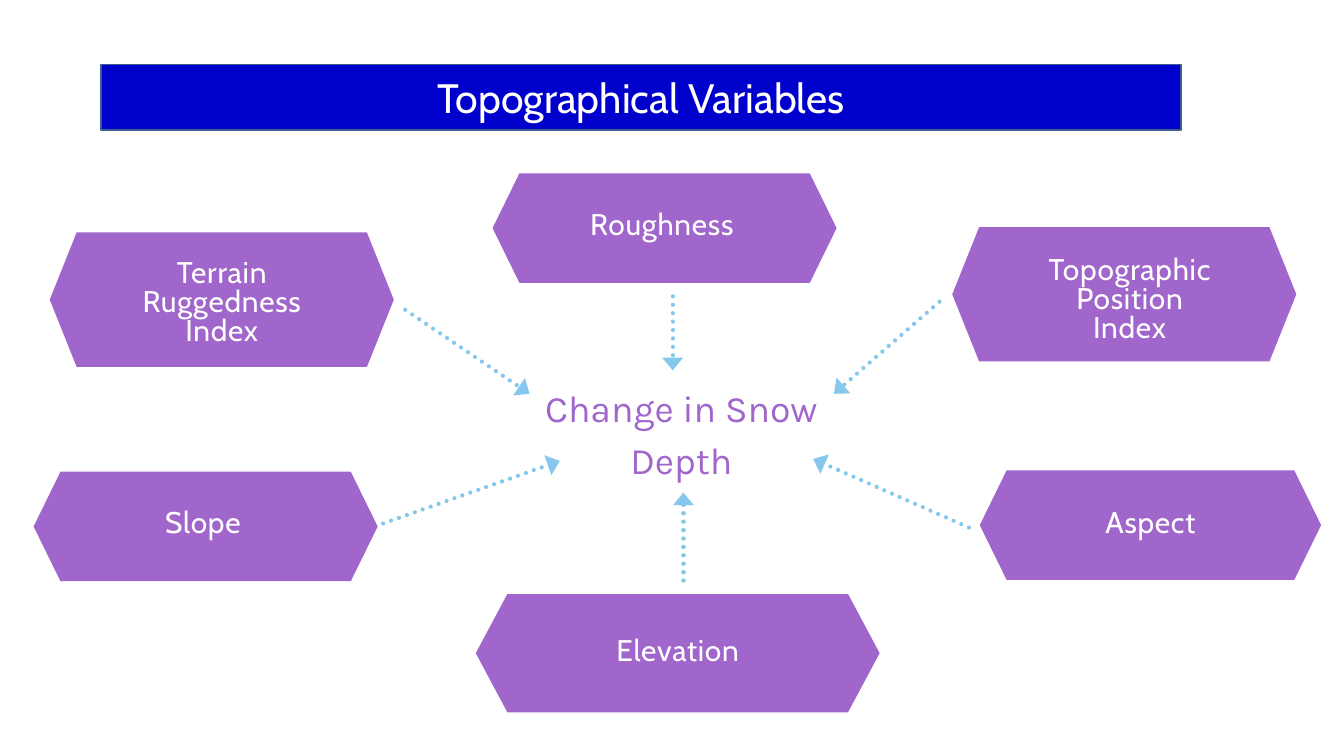
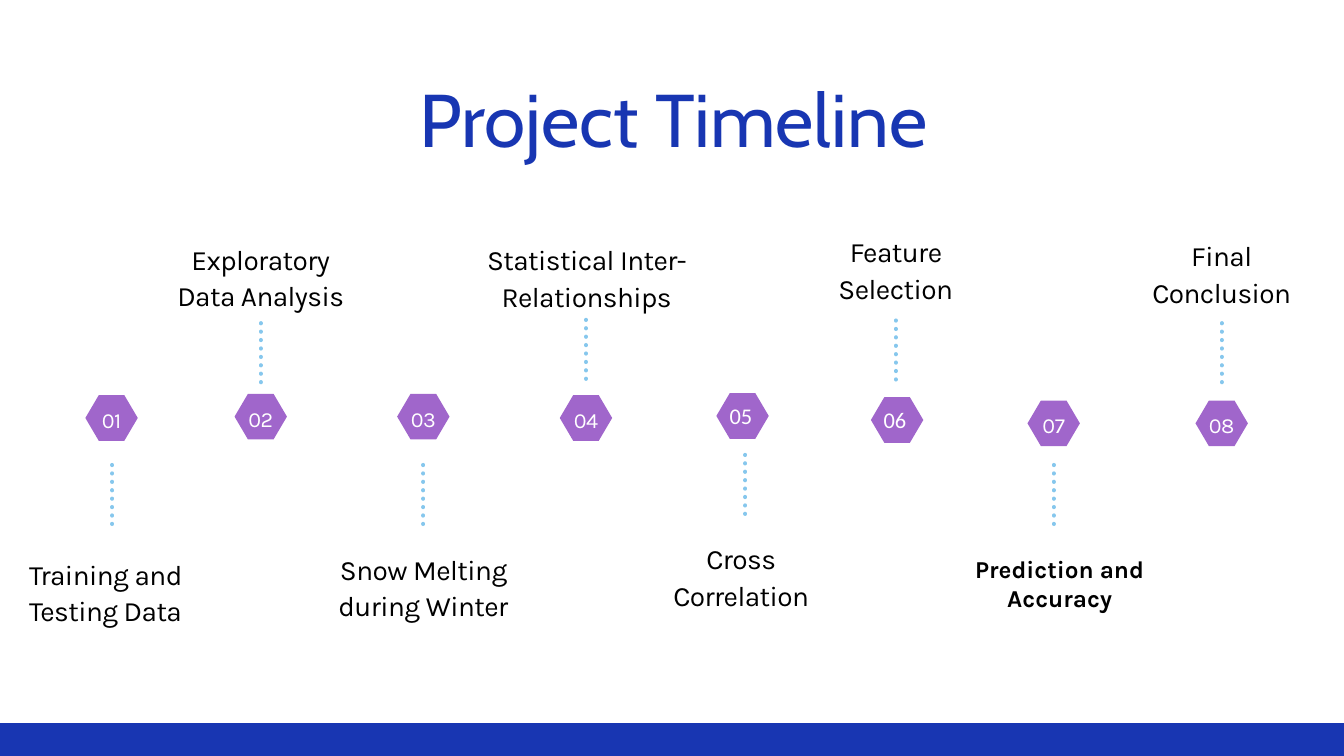
from lxml import etree
from pptx import Presentation
from pptx.dml.color import RGBColor
from pptx.enum import dml, shapes, text
from pptx.oxml.ns import qn
from pptx.util import Inches, Pt

WIDTH, HEIGHT = 20, 11.25
COLORS = {
    "purple": "A066CB", "sky": "86C7ED", "royal": "1836B2", "band": "0000CC",
    "band_edge": "3A5F8C", "white": "FFFFFF", "black": "000000",
}
HEADING, BODY, PLAIN = "Cabin", "Karla", "Calibri"

BAND_TITLE = "Topographical Variables"
OUTCOME = "Change in Snow Depth"
# name, hexagon box, corner inset, label centre offset, label width
VARIABLES = [
    ("Aspect", (14.58, 7, 5.08, 1.63), 0.4, (0, 0), 3.45),
    ("Elevation", (7.08, 8.84, 6.01, 1.76), 0.47, (0, 0), 4.11),
    ("Slope", (0.5, 7.02, 5.12, 1.63), 0.4, (-0.04, -0.03), 3.45),
    ("Roughness", (7.33, 2.58, 5.12, 1.63), 0.4, (-0.04, -0.02), 3.45),
    ("Terrain\nRuggedness\nIndex", (0.74, 3.46, 5.12, 2), 0.4, (0, 0.07), 3.45),
    ("Topographic\nPosition\nIndex", (14.17, 3.38, 5.12, 2), 0.4, (0.08, 0.1), 6.38),
]
INFLUENCES = [
    ((13.98, 4.49), (12.41, 5.86)),
    ((10.17, 8.64), (10.17, 7.33)),
    ((6.03, 4.61), (7.88, 5.86)),
    ((14.42, 7.85), (12.1, 6.83)),
    ((5.7, 7.79), (8.33, 6.86)),
    ((10.01, 4.41), (10.01, 5.51)),
]

TIMELINE_TITLE = "Project Timeline"
BADGE_W, BADGE_H, BADGE_INSET, STEM = 0.78, 0.68, 0.2, 1
# step, badge centre x, badge top, stem x, stem top, label centre x, label top
STEPS = [
    ("Training and Testing Data", 1.66, 5.88, 1.67, 6.92, 1.57, 8.25),
    ("Exploratory\nData Analysis", 3.88, 5.86, 3.88, 4.81, 3.88, 3.56),
    ("Snow Melting during Winter", 6.3, 5.86, 6.3, 6.92, 6.3, 8.18),
    ("Statistical Inter-Relationships", 8.72, 5.88, 8.72, 4.76, 8.73, 3.57),
    ("Cross\nCorrelation", 11.05, 5.85, 11.09, 6.77, 11.03, 8.02),
    ("Feature Selection", 13.35, 5.91, 13.33, 4.77, 13.33, 3.45),
    ("Prediction and\nAccuracy", 15.68, 5.96, 15.68, 6.92, 15.77, 8.2),
    ("Final\nConclusion", 18.18, 5.96, 18.18, 4.81, 18.18, 3.51),
]
LABEL_W, LABEL_H = 2.95, 1.09
WIDE_LABELS = {4: 3.64}
BOLD_STEP = 7
PLAIN_NUMBERS = {5: (10.76, 5.94, 0.74, 0.5), 6: (13.05, 5.99, 0.6, 0.5)}


def rgb(name):
    return RGBColor.from_string(COLORS[name])


def write(frame, words, font=BODY, size=30, color="black", bold=None,
          leading=None, tracking=None, align="CENTER"):
    frame.word_wrap = True
    frame.text = words
    for paragraph in frame.paragraphs:
        paragraph.alignment = getattr(text.PP_ALIGN, align)
        if leading:
            paragraph.line_spacing = Pt(leading)
        for run in paragraph.runs:
            run.font.name, run.font.size, run.font.bold = font, Pt(size), bold
            run.font.color.rgb = rgb(color)
            if tracking:
                run._r.get_or_add_rPr().set("spc", str(round(tracking * 100)))


def add_label(slide, box, words, inset=0, **style):
    frame = slide.shapes.add_textbox(*map(Inches, box)).text_frame
    if inset is not None:
        frame.margin_left = frame.margin_right = Inches(inset)
        frame.margin_top = frame.margin_bottom = Inches(inset)
    frame.auto_size = text.MSO_AUTO_SIZE.SHAPE_TO_FIT_TEXT
    write(frame, words, **style)


def add_block(slide, kind, box, fill, edge=None):
    block = slide.shapes.add_shape(kind, *map(Inches, box))
    block.shadow.inherit = False
    block.fill.solid()
    block.fill.fore_color.rgb = rgb(fill)
    if edge:
        block.line.color.rgb = rgb(edge)
        block.line.width = Pt(2)
    else:
        block.line.fill.background()
    return block


def add_hexagon(slide, box, inset):
    hexagon = add_block(slide, shapes.MSO_SHAPE.HEXAGON, box, "purple")
    hexagon.adjustments[0] = inset / min(box[2:])


def add_dots(slide, start, end, arrow=False):
    dots = slide.shapes.add_connector(
        shapes.MSO_CONNECTOR.STRAIGHT, *map(Inches, start + end))
    dots.line.color.rgb = rgb("sky")
    dots.line.width = Pt(4.5)
    dots.line.dash_style = dml.MSO_LINE.ROUND_DOT
    properties = dots._element.spPr
    stroke = properties.find(qn("a:ln"))
    stroke.set("cap", "rnd")
    if arrow:
        etree.SubElement(stroke, qn("a:tailEnd"), type="triangle", w="lg", len="med")
    etree.SubElement(properties, qn("a:effectLst"))


def build_variables(slide):
    for name, box, inset, (dx, dy), width in VARIABLES:
        add_hexagon(slide, box, inset)
        left, top, w, h = box
        height = 0.435 * len(name.split("\n"))
        spot = (left + (w - width) / 2 + dx, top + (h - height) / 2 + dy, width, height)
        add_label(slide, spot, name, font=HEADING, size=32, color="white",
                  leading=31.2, tracking=0.8)
    for start, end in INFLUENCES:
        add_dots(slide, start, end, arrow=True)
    band = add_block(slide, shapes.MSO_SHAPE.RECTANGLE, (1.5, 0.96, 16.08, 0.97),
                     "band", "band_edge")
    band.text_frame.vertical_anchor = text.MSO_ANCHOR.MIDDLE
    write(band.text_frame, BAND_TITLE, font=HEADING, size=44, color="white")
    add_label(slide, (8.06, 5.62, 4.16, 1.57), OUTCOME, size=40, color="purple",
              leading=56)


def build_timeline(slide):
    add_block(slide, shapes.MSO_SHAPE.RECTANGLE, (-0.17, 10.76, 20.39, 0.55), "royal")
    add_label(slide, (2.08, 1.2, 15.88, 1.25), TIMELINE_TITLE, font=HEADING, size=80,
              color="royal", leading=88)
    for number, (step, x, top, stem_x, stem_top, label_x, label_top) in enumerate(STEPS, 1):
        add_hexagon(slide, (x - BADGE_W / 2, top, BADGE_W, BADGE_H), BADGE_INSET)
        add_dots(slide, (stem_x, stem_top), (stem_x, stem_top + STEM))
        digits = f"{number:02}"
        if number in PLAIN_NUMBERS:
            add_label(slide, PLAIN_NUMBERS[number], digits, inset=None, font=PLAIN,
                      size=24, color="white", align="LEFT")
        else:
            add_label(slide, (x - 0.22, top + 0.11, 0.44, 0.42), digits, size=23.1,
                      color="white", leading=32.4, tracking=-0.5)
        width = WIDE_LABELS.get(number, LABEL_W)
        spot = (label_x - width / 2, label_top, width, LABEL_H)
        if number == BOLD_STEP:
            add_label(slide, spot, step, inset=0.05, size=26, bold=True)
        else:
            add_label(slide, spot, step, leading=39, tracking=-0.6)


def main():
    deck = Presentation()
    deck.slide_width, deck.slide_height = Inches(WIDTH), Inches(HEIGHT)
    for build in (build_variables, build_timeline):
        build(deck.slides.add_slide(deck.slide_layouts[6]))
    deck.save("out.pptx")


if __name__ == "__main__":
    main()
